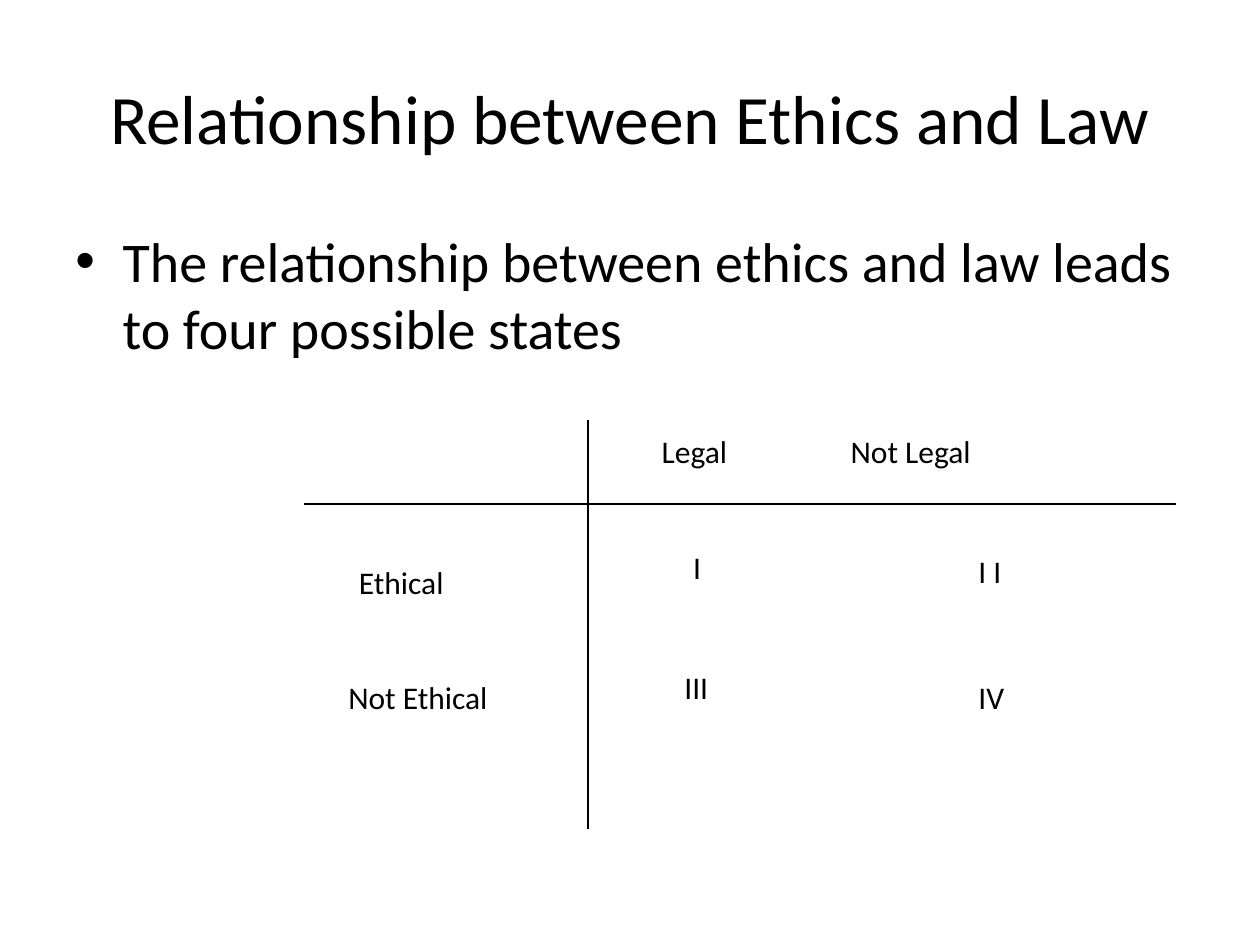
"""Build a slide that crosses ethics with law in a two-by-two grid."""
from dataclasses import dataclass

from lxml import etree
from pptx import Presentation
from pptx.dml.color import RGBColor
from pptx.enum import shapes, text
from pptx.oxml import ns
from pptx.util import Pt

BLACK = "000000"
FONT = "Calibri"


@dataclass
class Label:
    wording: str
    left: float
    top: float
    width: float
    height: float = 36
    wrap: bool = False


@dataclass
class Rule:
    start: tuple[float, float]
    end: tuple[float, float]


LABELS = [
    Label("Legal\t\tNot Legal", 371, 243.5, 265, wrap=True),
    Label("Ethical", 198, 318, 82),
    Label("Not Ethical", 192, 384, 124.5),
    Label("I I", 552, 312, 36.5),
    Label("I", 389, 309.5, 22.5),
    Label("III", 384, 378, 38),
    Label("IV", 552, 384, 39.5),
]
RULES = [Rule((336, 240), (336, 474)), Rule((174, 288), (672, 288))]


def color(value: str) -> RGBColor:
    return RGBColor.from_string(value)


def place(box, left: float, top: float, width: float, height: float) -> None:
    box.left, box.top, box.width, box.height = map(Pt, (left, top, width, height))


def format_text(para, size: float) -> None:
    for span in para.runs:
        span.font.name = FONT
        span.font.size = Pt(size)
        span.font.color.rgb = color(BLACK)


def add_title(page, wording: str) -> None:
    title = page.shapes.title
    place(title, 36, 21.6, 648, 90)
    frame = title.text_frame
    frame.text = wording
    frame.word_wrap = True
    frame.auto_size = text.MSO_AUTO_SIZE.NONE
    frame.vertical_anchor = text.MSO_ANCHOR.MIDDLE
    frame.paragraphs[0].alignment = text.PP_ALIGN.CENTER
    format_text(frame.paragraphs[0], 39.6)


def add_bullet(page, wording: str) -> None:
    box = page.shapes.add_textbox(Pt(36), Pt(126), Pt(648), Pt(356.4))
    box.text_frame.word_wrap = True
    para = box.text_frame.paragraphs[0]
    para.text = wording
    para.space_before = Pt(2)
    format_text(para, 32)
    properties = para._p.get_or_add_pPr()
    properties.set("marL", str(Pt(27)))
    properties.set("indent", str(Pt(-27)))
    etree.SubElement(properties, ns.qn("a:buFont"), typeface="Arial")
    etree.SubElement(properties, ns.qn("a:buChar"), char="•")


def add_rule(page, rule: Rule) -> None:
    points = map(Pt, rule.start + rule.end)
    line = page.shapes.add_connector(shapes.MSO_CONNECTOR.STRAIGHT, *points)
    line.line.color.rgb = color(BLACK)
    line.line.width = Pt(0.75)
    etree.SubElement(line._element.spPr, ns.qn("a:effectLst"))


def add_label(page, label: Label) -> None:
    box = page.shapes.add_textbox(
        Pt(label.left), Pt(label.top), Pt(label.width), Pt(label.height))
    frame = box.text_frame
    frame.word_wrap = label.wrap
    frame.auto_size = text.MSO_AUTO_SIZE.SHAPE_TO_FIT_TEXT
    para = frame.paragraphs[0]
    para.text = label.wording
    format_text(para, 18)
    tabs = label.wording.count("\t")
    if tabs:
        stops = etree.SubElement(para._p.get_or_add_pPr(), ns.qn("a:tabLst"))
        for number in range(1, tabs + 1):
            etree.SubElement(stops, ns.qn("a:tab"), pos=str(Pt(54 * number)), algn="l")


def main() -> None:
    deck = Presentation()
    deck.slide_width, deck.slide_height = Pt(720), Pt(540)
    page = deck.slides.add_slide(deck.slide_layouts[5])
    add_title(page, "Relationship between Ethics and Law")
    add_bullet(page, "The relationship between ethics and law leads to four possible states")
    for rule in RULES:
        add_rule(page, rule)
    for label in LABELS:
        add_label(page, label)
    deck.save("out.pptx")


if __name__ == "__main__":
    main()
